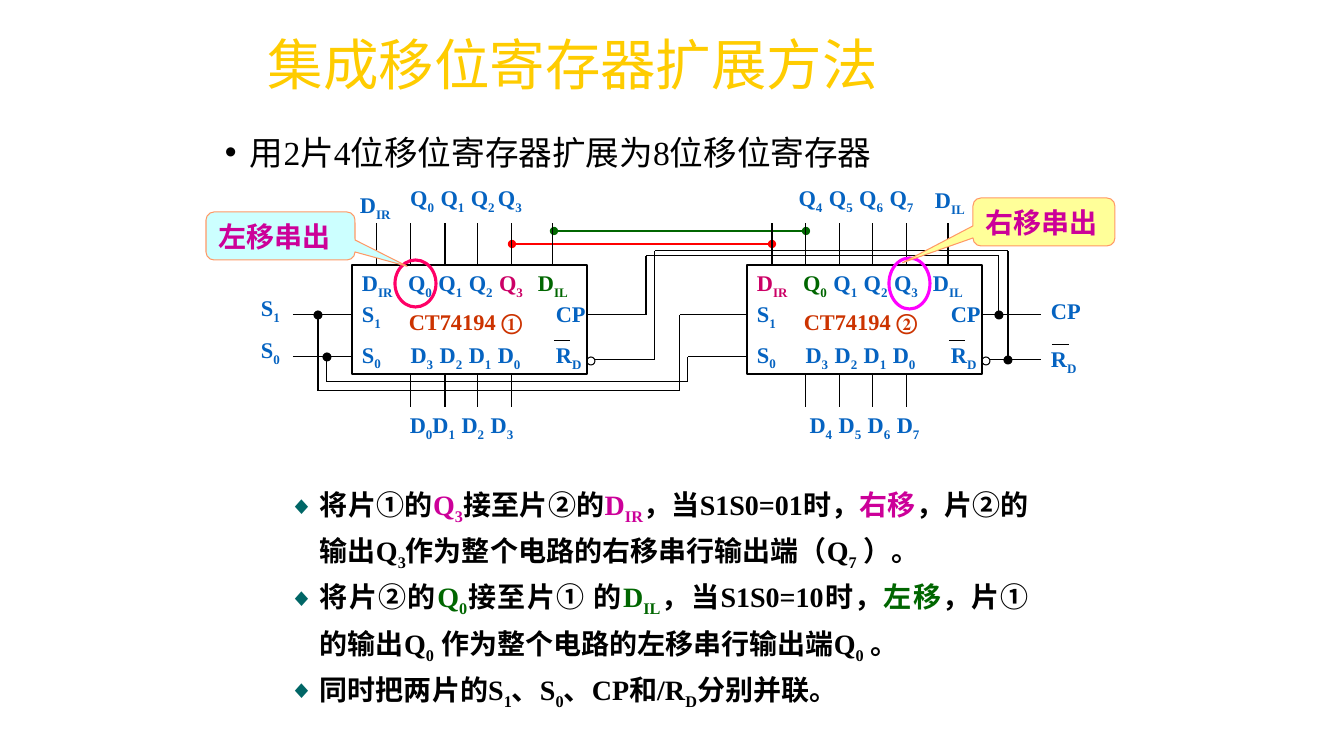
import pptx
import pptx.dml.color
import pptx.enum.shapes
import pptx.enum.text
import pptx.oxml
import pptx.oxml.ns
import pptx.util

RGBColor = pptx.dml.color.RGBColor
Shapes = pptx.enum.shapes.MSO_SHAPE
Align = pptx.enum.text.PP_ALIGN
Anchor = pptx.enum.text.MSO_ANCHOR
qn = pptx.oxml.ns.qn

BLACK = RGBColor(0x00, 0x00, 0x00)
BLUE = RGBColor(0x05, 0x63, 0xC1)
GREEN = RGBColor(0x00, 0x66, 0x00)
TEAL = RGBColor(0x00, 0x66, 0x66)
RED = RGBColor(0xFF, 0x00, 0x00)
CRIMSON = RGBColor(0xCC, 0x00, 0x66)
PURPLE = RGBColor(0xCC, 0x00, 0x99)
BRICK = RGBColor(0xCC, 0x33, 0x00)
GOLD = RGBColor(0xFF, 0xCC, 0x00)
ROSE = RGBColor(0xFF, 0x00, 0x66)
MAGENTA = RGBColor(0xFF, 0x00, 0xFF)
ORANGE = RGBColor(0xFF, 0x99, 0x66)
PALE_YELLOW = RGBColor(0xFF, 0xFF, 0x99)
PALE_CYAN = RGBColor(0xCC, 0xFF, 0xFF)

SERIF, SANS, CHINESE = "Times New Roman", "Arial", "Noto Sans CJK SC"
EMU_PER_PX = 914400 / 100.8
CHIP_TOP, CHIP_WIDTH, CHIP_HEIGHT = 265, 235, 109
CHIP_BOTTOM = CHIP_TOP + CHIP_HEIGHT
DATA_PINS = (59, 93, 126, 160)
SERIAL_PINS = (25, 201)
S1_Y, S0_Y, RESET_Y = 315, 357, 360


def emu(px):
    return round(px * EMU_PER_PX)


class Diagram:
    label_format = {"size": pptx.util.Pt(16), "name": SERIF, "bold": True}

    def __init__(self, slide):
        self.slide = slide

    def add_runs(self, paragraph, pieces, font_format):
        """Add (colour, text) pieces; a ~ in the text switches subscript on or off."""
        for colour, text in pieces:
            for index, part in enumerate(text.split("~")):
                if not part:
                    continue
                run = paragraph.add_run()
                run.text = part
                for key, value in font_format.items():
                    setattr(run.font, key, value)
                run.font.color.rgb = colour
                properties = run._r.get_or_add_rPr()
                east_asian = properties.makeelement(qn("a:ea"), {"typeface": CHINESE})
                properties.find(qn("a:latin")).addnext(east_asian)
                if index % 2:
                    properties.set("baseline", "-25000")

    def text(self, left, top, width, height, paragraphs, font_format=None,
             bullet=None, anchor=Anchor.TOP, **paragraph_format):
        box = self.slide.shapes.add_textbox(*map(emu, (left, top, width, height)))
        frame = box.text_frame
        frame.word_wrap = True
        frame.vertical_anchor = anchor
        layout = {"alignment": Align.JUSTIFY, "line_spacing": 0.9} | paragraph_format
        for index, pieces in enumerate(paragraphs):
            paragraph = frame.paragraphs[0] if index == 0 else frame.add_paragraph()
            if bullet:
                self.bullet(paragraph, *bullet)
            for key, value in layout.items():
                setattr(paragraph, key, value)
            if index == 0:
                paragraph.space_before = pptx.util.Pt(0)
            self.add_runs(paragraph, pieces, font_format or self.label_format)
        return frame

    def bullet(self, paragraph, character, colour, percent, margin, hanging):
        properties = paragraph._p.get_or_add_pPr()
        properties.set("marL", str(emu(margin)))
        properties.set("indent", str(-emu(hanging)))
        namespace = 'xmlns:a="http://schemas.openxmlformats.org/drawingml/2006/main"'
        for markup in (
            f'<a:buClr {namespace}><a:srgbClr val="{colour}"/></a:buClr>',
            f'<a:buSzPct {namespace} val="{percent * 1000}"/>',
            f'<a:buFont {namespace} typeface="{SANS}"/>',
            f'<a:buChar {namespace} char="{character}"/>',
        ):
            properties.append(pptx.oxml.parse_xml(markup))

    def label(self, left, top, width, *texts, colour=BLUE):
        """Left-aligned pin label, one paragraph for each text."""
        frame = self.text(left, top, width, 34 + 39 * (len(texts) - 1),
                          [[(colour, text)] for text in texts],
                          space_before=pptx.util.Pt(9))
        frame.margin_right = 0

    def row(self, left, top, width, *pieces):
        self.text(left, top, width, 34, [pieces], alignment=Align.CENTER)

    def shape(self, kind, left, top, width, height, line, weight=0.75, fill=None):
        shape = self.slide.shapes.add_shape(kind, *map(emu, (left, top, width, height)))
        shape.shadow.inherit = False
        if fill is None:
            shape.fill.background()
        else:
            shape.fill.solid()
            shape.fill.fore_color.rgb = fill
        shape.line.color.rgb = line
        shape.line.width = pptx.util.Pt(weight)
        return shape

    def wire(self, *points, colour=BLACK, weight=0.75, dotted_ends=False):
        """Join the points with straight lines."""
        for start, end in zip(points, points[1:]):
            connector = self.slide.shapes.add_connector(
                pptx.enum.shapes.MSO_CONNECTOR.STRAIGHT, *map(emu, start + end))
            connector.line.color.rgb = colour
            connector.line.width = pptx.util.Pt(weight)
            properties = connector._element.spPr
            properties.append(properties.makeelement(qn("a:effectLst"), {}))
            if dotted_ends:
                outline = properties.find(qn("a:ln"))
                for tag in ("a:headEnd", "a:tailEnd"):
                    outline.append(outline.makeelement(qn(tag), {"type": "oval"}))

    def chip(self, left, number, outputs, right_input, left_input):
        """Draw a register with its pin labels and pin wires."""
        right = left + CHIP_WIDTH
        self.shape(Shapes.RECTANGLE, left, CHIP_TOP, CHIP_WIDTH, CHIP_HEIGHT, BLACK, 1.5)
        self.row(left + 34, CHIP_TOP, 159, *outputs)
        self.row(left + 34, 337, 159, (BLUE, "D~3  ~D~2  ~D~1  ~D~0"))
        self.label(left, CHIP_TOP, 58, "D~IR", colour=right_input)
        self.label(left + 176, CHIP_TOP, 58, "D~IL", colour=left_input)
        self.label(left, 296, 50, "S~1", "S~0")
        self.label(left + 194, 298, 50, "CP")
        self.label(left + 194, 337, 50, "R~D")
        self.wire((left + 202, 341), (left + 218, 341))
        self.row(left + 42, 306, 143, (BRICK, "CT74194 " + number))
        for y in (S1_Y, S0_Y):
            self.wire((left - 59, y), (left, y))
        self.wire((right, S1_Y), (right + 59, S1_Y))
        self.shape(Shapes.OVAL, right, RESET_Y - 3, 8, 8, BLACK)
        self.wire((right + 8, RESET_Y), (right + 59, RESET_Y))
        for pin in DATA_PINS:
            self.wire((left + pin, CHIP_BOTTOM), (left + pin, 407))
        for pin in DATA_PINS + SERIAL_PINS:
            self.wire((left + pin, CHIP_TOP), (left + pin, 223))

    def callout(self, left, top, width, height, text, fill, adjustments):
        shape = self.shape(Shapes.ROUNDED_RECTANGULAR_CALLOUT, left, top, width, height,
                           ORANGE, fill=fill)
        for index, value in enumerate(adjustments):
            shape.adjustments[index] = value
        frame = shape.text_frame
        frame.vertical_anchor = Anchor.BOTTOM
        paragraph = frame.paragraphs[0]
        paragraph.alignment = Align.LEFT
        paragraph.line_spacing = 1.1
        self.add_runs(paragraph, [(PURPLE, text)],
                      {"size": pptx.util.Pt(20), "name": SANS, "bold": True})


def main():
    presentation = pptx.Presentation()
    presentation.slide_width, presentation.slide_height = emu(1344), emu(756)
    diagram = Diagram(presentation.slides.add_slide(presentation.slide_layouts[6]))

    diagram.text(258, 33, 1008, 68, [[(GOLD, "集成移位寄存器扩展方法")]],
                 {"size": pptx.util.Pt(39.6), "name": SANS},
                 anchor=Anchor.MIDDLE, alignment=Align.LEFT)
    diagram.text(215, 131, 808, 68, [[(BLACK, "用2片4位移位寄存器扩展为8位移位寄存器")]],
                 {"size": pptx.util.Pt(24), "name": SERIF},
                 bullet=("•", BLACK, 100, 25, 25))

    diagram.wire((806, 231), (554, 231), colour=GREEN, weight=1.5, dotted_ends=True)
    diagram.wire((772, 244), (512, 244), colour=RED, weight=1.5, dotted_ends=True)
    diagram.chip(352, "①", [(BLUE, "Q~0  ~Q~1  ~Q~2  "), (CRIMSON, "Q~3")], BLUE, GREEN)
    diagram.chip(747, "②", [(GREEN, "Q~0  "), (BLUE, "Q~1  ~Q~2  ~Q~3")], CRIMSON, BLUE)

    diagram.wire((688, S0_Y), (688, 382), (327, 382), (327, S0_Y))
    diagram.wire((688, S1_Y), (680, S1_Y), (680, 391), (318, 391), (318, S1_Y))
    diagram.wire((646, S1_Y), (646, 256), (999, 256), (999, S1_Y))
    diagram.wire((646, RESET_Y), (655, RESET_Y), (655, 251), (1008, 251), (1008, RESET_Y))
    for x, y in ((318, S1_Y), (327, S0_Y), (999, S1_Y), (1008, RESET_Y)):
        diagram.shape(Shapes.OVAL, x - 4, y - 4, 8, 8, BLACK, fill=BLACK)

    diagram.label(251, 290, 42, "S~1")
    diagram.label(251, 332, 42, "S~0")
    diagram.label(1041, 295, 61, "CP")
    diagram.label(1041, 341, 50, "R~D")
    diagram.wire((1052, 345), (1069, 345))
    diagram.label(350, 187, 68, "D~IR")
    diagram.label(925, 182, 68, "D~IL")
    diagram.row(382, 180, 168, (BLUE, "Q~0  ~Q~1  ~Q~2 ~Q~3"))
    diagram.row(772, 180, 168, (BLUE, "Q~4  ~Q~5  ~Q~6  ~Q~7"))
    diagram.row(386, 407, 151, (BLUE, "D~0~D~1  ~D~2  ~D~3"))
    diagram.row(789, 407, 151, (BLUE, "D~4  ~D~5  ~D~6  ~D~7"))

    diagram.text(228, 475, 811, 214, [
        [(BLACK, "将片①的"), (PURPLE, "Q~3"), (BLACK, "接至片②的"), (PURPLE, "D~IR"),
         (BLACK, "，当S1S0=01时，"), (PURPLE, "右移"),
         (BLACK, "，片②的输出Q~3~作为整个电路的右移串行输出端（Q~7~ ）。")],
        [(BLACK, "将片②的"), (GREEN, "Q~0"), (BLACK, "接至片① 的"), (GREEN, "D~IL"),
         (BLACK, "，当S1S0=10时，"), (GREEN, "左移"),
         (BLACK, "，片①的输出Q~0~ 作为整个电路的左移串行输出端Q~0~ 。")],
        [(BLACK, "同时把两片的S~1~、S~0~、CP和/R~D~分别并联。")],
    ], {"size": pptx.util.Pt(20), "name": SERIF, "bold": True},
        bullet=("◆", TEAL, 90, 82, 31), line_spacing=pptx.util.Pt(32.9))

    diagram.shape(Shapes.OVAL, 395, 260, 41, 47, ROSE, 2.25)
    diagram.shape(Shapes.OVAL, 889, 258, 41, 51, MAGENTA, 2.25)
    diagram.callout(973, 198, 142, 48, "右移串出", PALE_YELLOW, (-0.996, 0.849, 0.167))
    diagram.callout(206, 212, 149, 48, "左移串出", PALE_CYAN, (0.85, 0.632, 0.167))

    presentation.save("out.pptx")


if __name__ == "__main__":
    main()
